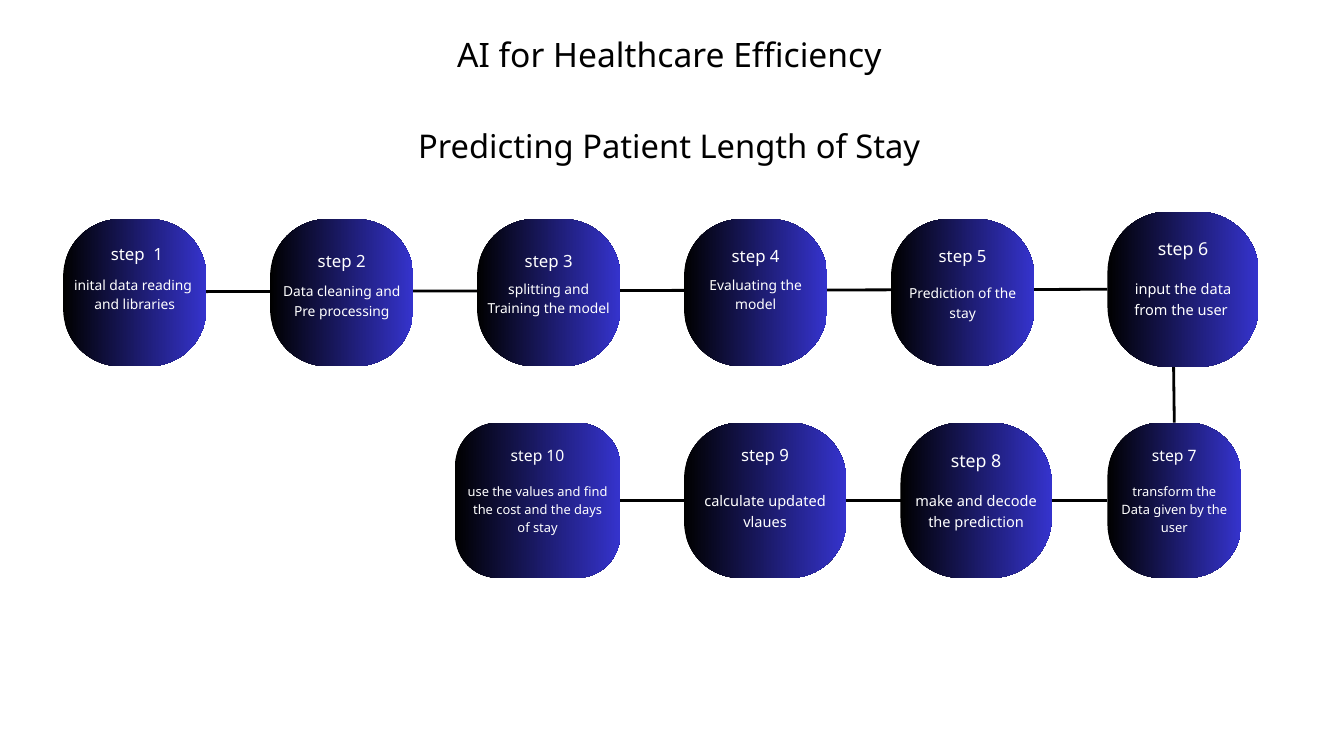
from dataclasses import dataclass

from lxml.etree import SubElement as SubEl
from pptx import Presentation as Deck
from pptx.dml.color import RGBColor as Rgb
from pptx.enum.shapes import MSO_CONNECTOR as Link, MSO_SHAPE as Form
from pptx.enum.text import MSO_ANCHOR as Anchor, MSO_AUTO_SIZE as Fit, PP_ALIGN as Align
from pptx.oxml.ns import qn
from pptx.shapes.autoshape import Shape
from pptx.shapes.connector import Connector as Wire
from pptx.slide import Slide
from pptx.util import Inches, Pt

FONT = "Noto Sans"
LEAD = 1.4
HUES = {"ink": "000000", "glow": "3533CD", "text": "FFFFFF", "line": "000000"}


@dataclass
class Box:
    left: float
    top: float
    width: float
    height: float


@dataclass
class Step:
    box: Box
    curve: float
    label: str
    head_y: float
    head_pt: float
    body: list[str]
    body_y: float
    body_pt: float
    rows: int = 2


@dataclass
class Wiring:
    start: tuple[float, float]
    end: tuple[float, float]
    start_join: tuple[int, int] | None = None
    end_join: tuple[int, int] | None = None


def top_box(col: int) -> Box:
    return Box(0.94 + 3.08 * col, 3.26, 2.13, 2.19)


def low_box(left: float, width: float) -> Box:
    return Box(left, 6.29, width, 2.31)


STEPS = [
    Step(top_box(0), 0.4, " step  1", 3.58, 18,
         ["inital data reading ", "and libraries"], 4.07, 14.8),
    Step(top_box(1), 0.4, "step 2", 3.68, 18,
         ["Data cleaning and Pre processing"], 4.17, 14.8),
    Step(top_box(2), 0.4, "step 3", 3.68, 18,
         ["splitting and Training the model"], 4.13, 14.8),
    Step(top_box(3), 0.4, "step 4", 3.6, 18, ["Evaluating the model"], 4.07, 14.8),
    Step(top_box(4), 0.4, "step 5", 3.6, 18, ["Prediction of the stay"], 4.2, 14.8),
    Step(Box(16.48, 3.15, 2.25, 2.31), 0.4, "step 6", 3.49, 19,
         ["input the data from the user "], 4.13, 15.6),
    Step(low_box(16.48, 1.99), 0.4, "step 7", 6.59, 16.8,
         ["transform the Data given by the user"], 7.16, 13.8, 3),
    Step(low_box(13.4, 2.25), 0.4, "step 8", 6.64, 19,
         ["make and decode the prediction"], 7.28, 15.6),
    Step(low_box(10.18, 2.41), 0.36, "step 9", 6.57, 18,
         ["calculate updated vlaues"], 7.28, 15.6),
    Step(low_box(6.77, 2.46), 0.28, "step 10", 6.59, 16.8,
         ["use the values and find the cost and the days of stay"], 7.16, 13.8, 3),
]

WIRES = [
    Wiring((2.9, 4.34), (16.48, 4.3), end_join=(5, 1)),
    Wiring((17.47, 6.29), (17.45, 4.36), start_join=(6, 0)),
    Wiring((9.23, 7.45), (16.48, 7.45), start_join=(9, 3), end_join=(6, 1)),
]


def place(shape: Shape, box: Box) -> None:
    shape.left, shape.top = Inches(box.left), Inches(box.top)
    shape.width, shape.height = Inches(box.width), Inches(box.height)


def write(shape: Shape, lines: list[str], size: float, hue: str, wrap: bool = True) -> None:
    frame = shape.text_frame
    frame.margin_left = frame.margin_right = frame.margin_top = frame.margin_bottom = 0
    frame.word_wrap = wrap
    frame.auto_size = Fit.SHAPE_TO_FIT_TEXT
    frame.vertical_anchor = Anchor.TOP
    for num, line in enumerate(lines):
        para = frame.add_paragraph() if num else frame.paragraphs[0]
        para.alignment = Align.CENTER
        para.line_spacing = Pt(size * LEAD)
        para.space_before = Pt(0)
        run = para.add_run()
        run.text = line
        run.font.name = FONT
        run.font.size = Pt(size)
        run.font.color.rgb = Rgb.from_string(HUES[hue])


def add_text(slide: Slide, box: Box, lines: list[str], size: float, hue: str,
             wrap: bool = True) -> None:
    shape = slide.shapes.add_textbox(0, 0, 0, 0)
    place(shape, box)
    write(shape, lines, size, hue, wrap)


def add_step(slide: Slide, step: Step) -> Shape:
    box = step.box
    shape = slide.shapes.add_shape(Form.ROUNDED_RECTANGLE, 0, 0, 0, 0)
    place(shape, box)
    shape.adjustments[0] = step.curve
    shape.shadow.inherit = False
    shape.line.fill.background()
    shape.fill.gradient()
    shape.fill.gradient_angle = 0
    for stop, spot, hue in zip(shape.fill.gradient_stops, (0, 1), ("ink", "glow")):
        stop.position = spot
        stop.color.rgb = Rgb.from_string(HUES[hue])

    wide = len(step.label) * step.head_pt / 120
    left = box.left + (box.width - wide) / 2
    head = Box(left, step.head_y, wide, step.head_pt * LEAD / 72)
    add_text(slide, head, [step.label], step.head_pt, "text", wrap=False)

    inset = 0.07 * box.width
    body = Box(box.left + inset, step.body_y, box.width - 2 * inset,
               step.rows * step.body_pt * LEAD / 72)
    add_text(slide, body, step.body, step.body_pt, "text")
    return shape


def add_wire(slide: Slide, plan: Wiring, boxes: list[Shape]) -> Wire:
    ends = [Inches(num) for num in (*plan.start, *plan.end)]
    wire = slide.shapes.add_connector(Link.STRAIGHT, *ends)
    if plan.start_join:
        num, side = plan.start_join
        wire.begin_connect(boxes[num], side)
    if plan.end_join:
        num, side = plan.end_join
        wire.end_connect(boxes[num], side)
    wire.line.color.rgb = Rgb.from_string(HUES["line"])
    wire.line.width = Pt(3)
    SubEl(wire._element.spPr, qn("a:effectLst"))
    return wire


def main() -> None:
    deck = Deck()
    deck.slide_width, deck.slide_height = Inches(20), Inches(11.25)
    slide = deck.slides.add_slide(deck.slide_layouts[5])

    title = slide.shapes.title
    place(title, Box(6.66, 0.41, 6.6, 1.36))
    write(title, ["AI for Healthcare Efficiency"], 36, "ink")
    add_text(slide, Box(6.11, 1.78, 7.7, 0.65),
             ["Predicting Patient Length of Stay"], 35, "ink")

    boxes = [add_step(slide, step) for step in STEPS]
    for plan in WIRES:
        wire = add_wire(slide, plan, boxes)
        title._element.addprevious(wire._element)

    deck.save("out.pptx")


if __name__ == "__main__":
    main()
